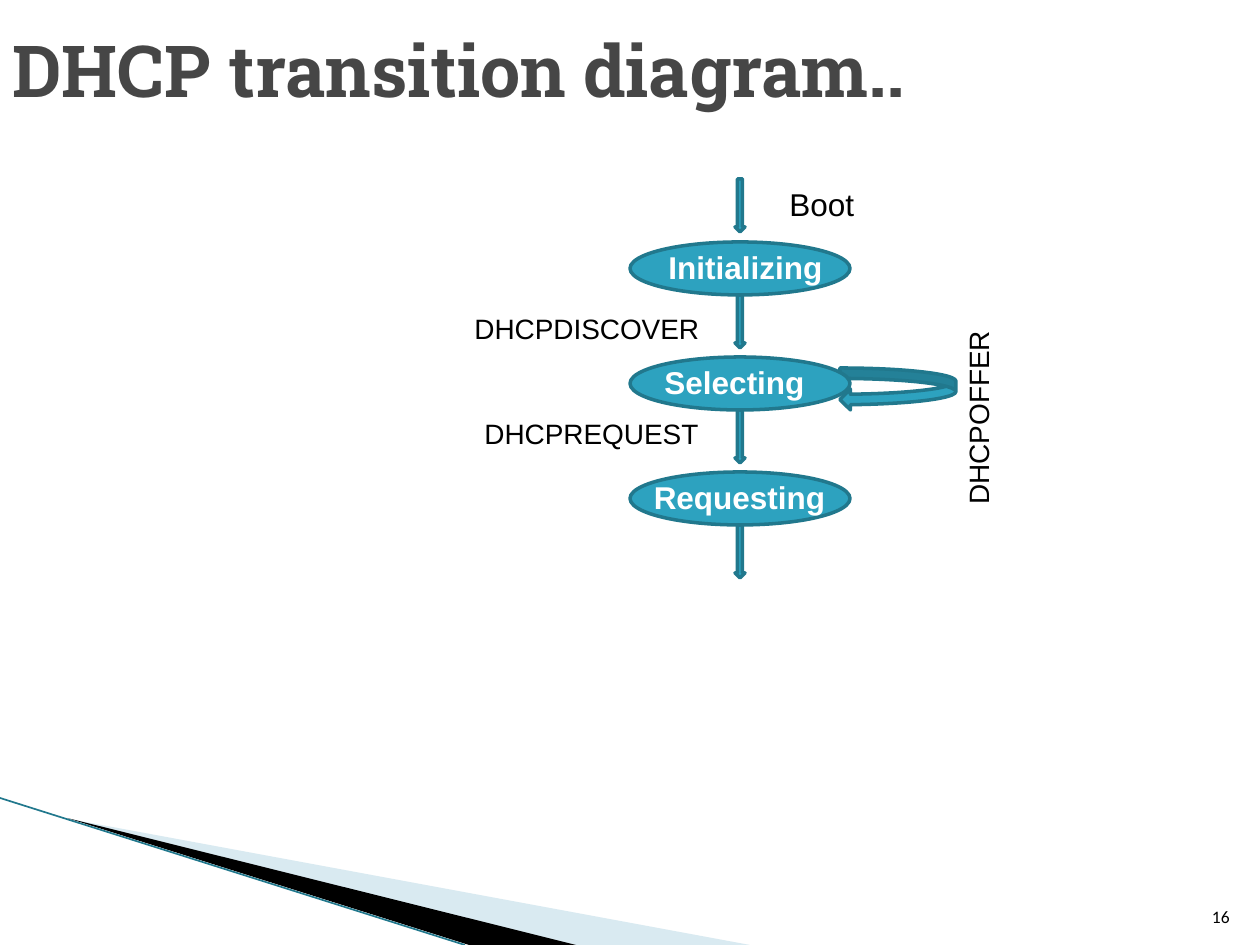
from dataclasses import dataclass

from pptx import Presentation
from pptx import util as u
from pptx.dml.color import RGBColor
from pptx.enum import shapes, text
from lxml import etree

TITLE = ("DHCP transition diagram..", (0, -10, 1134, 157))
PAGE_NUMBER = ("16", (1192, 883, 50, 50))
# state name, left and width of its label
STATES = [("Initializing", 651, 189), ("Selecting", 640, 189), ("Requesting", 640, 199)]
# message, box, size role, rotation
MESSAGES = [
    ("Boot", (777, 179, 116, 50), "state", 0),
    ("DHCPDISCOVER", (462, 305, 294, 47), "message", 0),
    ("DHCPREQUEST", (472, 410, 294, 47), "message", 0),
    ("DHCPOFFER", (867, 382, 223, 47), "message", 270),
]
OFFER_LOOP = (840, 368, 116, 42)
OFFER_STATE = 1
# corners, colour role, opacity in percent
WEDGES = [
    ([(69, 819), (750, 945), (575, 945)], "pale", 40),
    ([(67, 818), (576, 945), (469, 945)], "black", 100),
]
EDGE = (0, 798, 465, 945)

SLIDE_W, SLIDE_H = 1260, 945
OVAL_LEFT, OVAL_TOP, OVAL_W, OVAL_H = 630, 242, 220, 53
ROW_PITCH = 115
ARROW_W, ARROW_H = 10, 53
ARROW_LEFT = OVAL_LEFT + (OVAL_W - ARROW_W) // 2
BOOT_ARROW_TOP = 179
LABEL_H = 50
PX = 914400 / 126


@dataclass(frozen=True)
class Theme:
    colours = dict(fill="2DA2BF", outline="21788D", pale="A0CBDC", black="000000",
                   white="FFFFFF", title="464646")
    sizes = dict(title=41, state=18, message=16, page=10)
    fonts = dict(title="Roboto Slab", body="Arial", page="Calibri")
    outline_pt = 2
    edge_pt = 0.95

    def rgb(self, role):
        return RGBColor.from_string(self.colours[role])


THEME = Theme()


def emu(*lengths):
    return [u.Emu(round(length * PX)) for length in lengths]


def add_drawn(slide, preset, box):
    part = slide.shapes.add_shape(preset, *emu(*box))
    part.shadow.inherit = False
    part.fill.solid()
    part.fill.fore_color.rgb = THEME.rgb("fill")
    part.line.color.rgb = THEME.rgb("outline")
    part.line.width = u.Pt(THEME.outline_pt)


def add_label(slide, words, box, size="message", font="body", colour="black", bold=False,
              align=text.PP_ALIGN.LEFT, anchor=text.MSO_ANCHOR.TOP, rotation=0):
    label = slide.shapes.add_textbox(*emu(*box))
    label.rotation = rotation
    frame = label.text_frame
    frame.word_wrap = True
    frame.vertical_anchor = anchor
    paragraph = frame.paragraphs[0]
    paragraph.alignment = align
    run = paragraph.add_run()
    run.text = words
    style = dict(name=THEME.fonts[font], size=u.Pt(THEME.sizes[size]), bold=bold)
    for attribute, value in style.items():
        setattr(run.font, attribute, value)
    run.font.color.rgb = THEME.rgb(colour)


def add_wedge(slide, corners, colour, opacity):
    builder = slide.shapes.build_freeform(*corners[0], scale=PX)
    builder.add_line_segments(corners[1:], close=True)
    wedge = builder.convert_to_shape()
    wedge.shadow.inherit = False
    wedge.fill.solid()
    wedge.fill.fore_color.rgb = THEME.rgb(colour)
    wedge.line.fill.background()
    if opacity < 100:
        tint = wedge.fill._xPr.find(".//{*}srgbClr")
        alpha = etree.SubElement(tint, tint.tag.replace("srgbClr", "alpha"))
        alpha.set("val", str(opacity * 1000))


def add_edge(slide):
    edge = slide.shapes.add_connector(shapes.MSO_CONNECTOR.STRAIGHT, *emu(*EDGE))
    edge.line.color.rgb = THEME.rgb("outline")
    edge.line.width = u.Pt(THEME.edge_pt)
    properties = edge.element.spPr
    drawing_ns = etree.QName(properties.find("{*}xfrm")).namespace
    etree.SubElement(properties, f"{{{drawing_ns}}}effectLst")


def add_arrow(slide, top):
    add_drawn(slide, shapes.MSO_SHAPE.DOWN_ARROW, (ARROW_LEFT, top, ARROW_W, ARROW_H))


def add_states(slide):
    add_arrow(slide, BOOT_ARROW_TOP)
    for row, (state, left, width) in enumerate(STATES):
        top = OVAL_TOP + row * ROW_PITCH
        add_arrow(slide, top + OVAL_H)
        if row == OFFER_STATE:
            add_drawn(slide, shapes.MSO_SHAPE.CURVED_LEFT_ARROW, OFFER_LOOP)
        add_drawn(slide, shapes.MSO_SHAPE.OVAL, (OVAL_LEFT, top, OVAL_W, OVAL_H))
        add_label(slide, state, (left, top, width, LABEL_H), "state", colour="white",
                  bold=True, align=text.PP_ALIGN.CENTER)


def main():
    deck = Presentation()
    deck.slide_width, deck.slide_height = emu(SLIDE_W, SLIDE_H)
    slide = deck.slides.add_slide(deck.slide_layouts[6])
    for wedge in WEDGES:
        add_wedge(slide, *wedge)
    add_edge(slide)
    add_states(slide)
    for message, box, size, rotation in MESSAGES:
        add_label(slide, message, box, size, rotation=rotation)
    add_label(slide, *TITLE, "title", "title", "title", bold=True,
              anchor=text.MSO_ANCHOR.MIDDLE)
    add_label(slide, *PAGE_NUMBER, "page", "page", align=text.PP_ALIGN.RIGHT,
              anchor=text.MSO_ANCHOR.BOTTOM)
    deck.save("out.pptx")


if __name__ == "__main__":
    main()
